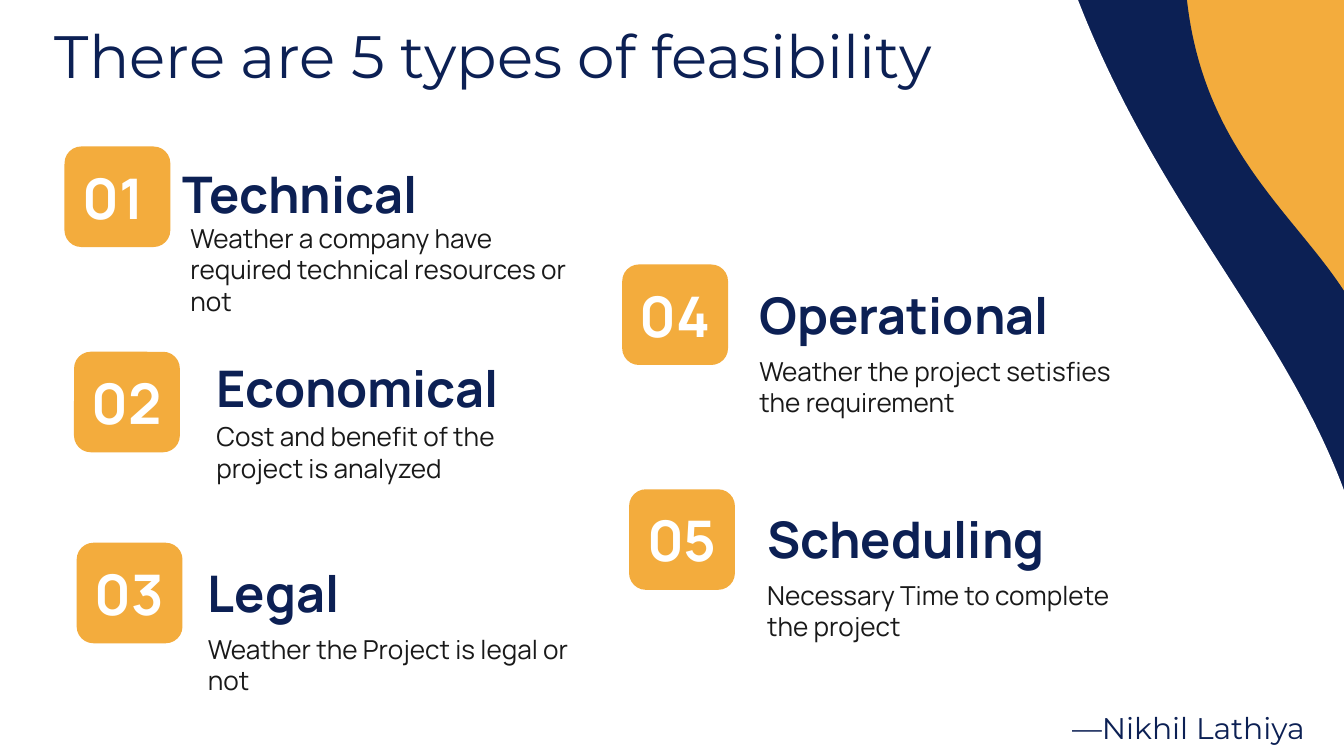
from pptx import Presentation
from pptx.dml.color import RGBColor
from pptx.enum.shapes import MSO_SHAPE
from pptx.enum.text import MSO_ANCHOR, PP_ALIGN
from pptx.util import Cm, Pt

WAVE = MSO_SHAPE.FLOWCHART_DOCUMENT
TILE = MSO_SHAPE.ROUNDED_RECTANGLE
MIDDLE = MSO_ANCHOR.MIDDLE
LEFT, CENTER, RIGHT = PP_ALIGN.LEFT, PP_ALIGN.CENTER, PP_ALIGN.RIGHT
NAVY, GOLD, WHITE, INK = "0C2054", "F3AC3D", "FFFFFF", "191919"
HEAD, BODY = "Montserrat", "Manrope"

deck = Presentation()
deck.slide_width, deck.slide_height = Cm(25.4), Cm(14.29)
slide = deck.slides.add_slide(deck.slide_layouts[6])
slide.background.fill.solid()
slide.background.fill.fore_color.rgb = RGBColor.from_string(GOLD)


def add_shape(kind, box, color, turn=0):
    shape = slide.shapes.add_shape(kind, *map(Cm, box))
    shape.fill.solid()
    shape.fill.fore_color.rgb = RGBColor.from_string(color)
    shape.line.fill.background()
    shape.shadow.inherit = False
    shape.rotation = turn
    return shape


def write(text, size, color, box=None, shape=None, name=BODY, bold=False, align=LEFT):
    """Write into the given shape, or into a new text box at box."""
    shape = shape or slide.shapes.add_textbox(*map(Cm, box))
    frame = shape.text_frame
    frame.word_wrap = True
    frame.vertical_anchor = MIDDLE
    # Centred numbers need nearly the full width of their tile
    frame.margin_left = frame.margin_right = Cm(0 if align == CENTER else 0.25)
    frame.margin_top = frame.margin_bottom = Cm(0.25)
    para = frame.paragraphs[0]
    para.text = text
    para.alignment = align
    font = para.font
    font.name, font.size, font.bold = name, Pt(size), bold
    font.color.rgb = RGBColor.from_string(color)


# Wavy bands on the right
add_shape(WAVE, (11.84, -3.48, 11.07, 17.6), NAVY, 267)
add_shape(WAVE, (-1.42, -6.96, 25.73, 29.01), WHITE, 264.8)

write("There are 5 types of feasibility", 32, NAVY,
      (0.79, 0.36, 21.41, 1.35), name=HEAD)

# Tile corner, number alignment, title corner, note box, title, note
types = [
    ((1.22, 2.77), LEFT, (3.2, 2.92), (3.35, 4.17, 7.95, 1.85),
     "Technical", "Weather a company have required technical resources or not"),
    ((1.4, 6.65), CENTER, (3.84, 6.58), (3.84, 7.87, 7.47, 1.35),
     "Economical", "Cost and benefit of the project is analyzed"),
    ((1.45, 10.26), CENTER, (3.68, 10.46), (3.68, 11.89, 7.47, 1.35),
     "Legal", "Weather the Project is legal or not"),
    ((11.76, 5), CENTER, (14.1, 5.21), (14.1, 6.63, 7.47, 1.35),
     "Operational", "Weather the project setisfies the requirement"),
    ((11.89, 9.25), CENTER, (14.25, 9.45), (14.25, 10.87, 7.47, 1.35),
     "Scheduling", "Necessary Time to complete the project"),
]
for num, (spot, align, head, area, title, note) in enumerate(types, 1):
    tile = add_shape(TILE, (*spot, 2, 1.9), GOLD)
    write(f"{num:02}", 30, WHITE, shape=tile, bold=True, align=align)
    write(title, 27, NAVY, (*head, 7.47, 1.47), bold=True)
    write(note, 14, INK, area)

write("—Nikhil Lathiya", 16, NAVY, (12.24, 13.21, 12.67, 1.07),
      name=HEAD, align=RIGHT)

deck.save("out.pptx")
